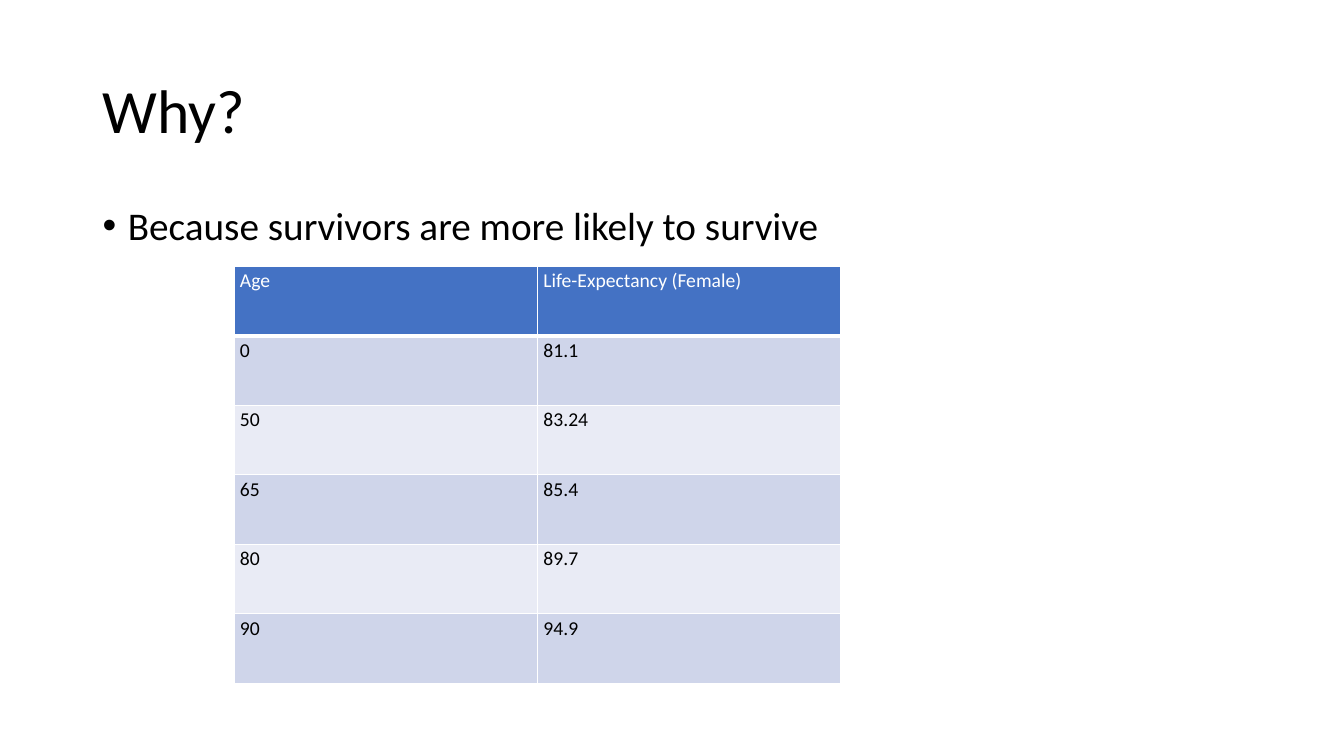
"""Build a slide that shows female life expectancy by age reached."""
from dataclasses import dataclass

from lxml.etree import SubElement
from pptx import Presentation
from pptx.dml.color import RGBColor
from pptx.enum.text import MSO_ANCHOR, MSO_AUTO_SIZE, PP_ALIGN
from pptx.oxml.ns import qn
from pptx.util import Inches, Pt


@dataclass(frozen=True)
class Theme:
    """Colours, font and type sizes."""
    font: str = "Calibri"
    ink: str = "000000"
    paper: str = "FFFFFF"
    header: str = "4472C4"
    bands: tuple = ("CFD5EA", "E9EBF5")
    title_size: int = 44
    body_size: int = 28
    table_size: int = 14


class SlideBuilder:
    """Add styled elements to one slide."""

    def __init__(self, slide, theme):
        """Keep the slide and its theme."""
        self.slide = slide
        self.theme = theme

    def format_text(self, paragraph, size, color):
        """Apply the theme font to a paragraph."""
        style = {"name": self.theme.font, "size": Pt(size), "bold": False}
        for attribute, value in style.items():
            setattr(paragraph.font, attribute, value)
        paragraph.font.color.rgb = RGBColor.from_string(color)

    def title(self, text, left, top, width, height):
        """Place and fill the title placeholder."""
        heading = self.slide.shapes.title
        place = {"left": left, "top": top, "width": width, "height": height}
        for attribute, value in place.items():
            setattr(heading, attribute, Inches(value))
        frame = heading.text_frame
        frame.text = text
        frame.auto_size = MSO_AUTO_SIZE.NONE
        frame.vertical_anchor = MSO_ANCHOR.MIDDLE
        paragraph = frame.paragraphs[0]
        paragraph.alignment = PP_ALIGN.LEFT
        paragraph.line_spacing = 0.9
        self.format_text(paragraph, self.theme.title_size, self.theme.ink)

    def bullet(self, text, left, top, width, height):
        """Add a text box with one bullet point."""
        box = self.slide.shapes.add_textbox(
            Inches(left), Inches(top), Inches(width), Inches(height))
        frame = box.text_frame
        frame.word_wrap = True
        paragraph = frame.paragraphs[0]
        paragraph.text = text
        paragraph.line_spacing = 0.9
        properties = paragraph._p.get_or_add_pPr()
        properties.set("marL", str(Inches(0.25)))
        properties.set("indent", str(Inches(-0.25)))
        SubElement(properties, qn("a:buFont"), typeface="Arial")
        SubElement(properties, qn("a:buChar"), char="•")
        self.format_text(paragraph, self.theme.body_size, self.theme.ink)

    def borders(self, cell, bottom):
        """Draw the four borders of a table cell."""
        properties = cell._tc.get_or_add_tcPr()
        for side, points in {"L": 1, "R": 1, "T": 1, "B": bottom}.items():
            line = SubElement(properties, qn(f"a:ln{side}"), w=str(Pt(points)))
            fill = SubElement(line, qn("a:solidFill"))
            SubElement(fill, qn("a:srgbClr"), val=self.theme.paper)

    def cell(self, cell, text, fill, color, bottom):
        """Fill and format one table cell."""
        margins = {"margin_left": 0.06, "margin_right": 0.06,
                   "margin_top": 0.03, "margin_bottom": 0.03}
        for attribute, value in margins.items():
            setattr(cell, attribute, Inches(value))
        self.borders(cell, bottom)
        cell.fill.solid()
        cell.fill.fore_color.rgb = RGBColor.from_string(fill)
        cell.text = text
        self.format_text(cell.text_frame.paragraphs[0], self.theme.table_size, color)

    def table(self, rows, left, top, column_width, row_height):
        """Add a banded table with a header row."""
        theme = self.theme
        columns = len(rows[0])
        grid = self.slide.shapes.add_table(
            len(rows), columns, Inches(left), Inches(top),
            Inches(column_width * columns), Inches(row_height * len(rows))).table
        for column in grid.columns:
            column.width = Inches(column_width)
        for index, values in enumerate(rows):
            grid.rows[index].height = Inches(row_height)
            if index == 0:
                look = (theme.header, theme.paper, 3)
            else:
                look = (theme.bands[(index - 1) % 2], theme.ink, 1)
            for position, text in enumerate(values):
                self.cell(grid.cell(index, position), text, *look)


def main():
    """Create and save the presentation."""
    deck = Presentation()
    deck.slide_width, deck.slide_height = Inches(13.33), Inches(7.5)
    survival = SlideBuilder(deck.slides.add_slide(deck.slide_layouts[5]), Theme())
    survival.title("Why?", 0.92, 0.4, 11.5, 1.45)
    survival.bullet("Because survivors are more likely to survive", 0.92, 2, 11.5, 4.76)
    life_expectancy = [
        ("Age", "Life-Expectancy (Female)"),
        ("0", "81.1"),
        ("50", "83.24"),
        ("65", "85.4"),
        ("80", "89.7"),
        ("90", "94.9"),
    ]
    survival.table(life_expectancy, 2.32, 2.64, 3.01, 0.69)
    deck.save("out.pptx")


if __name__ == "__main__":
    main()
